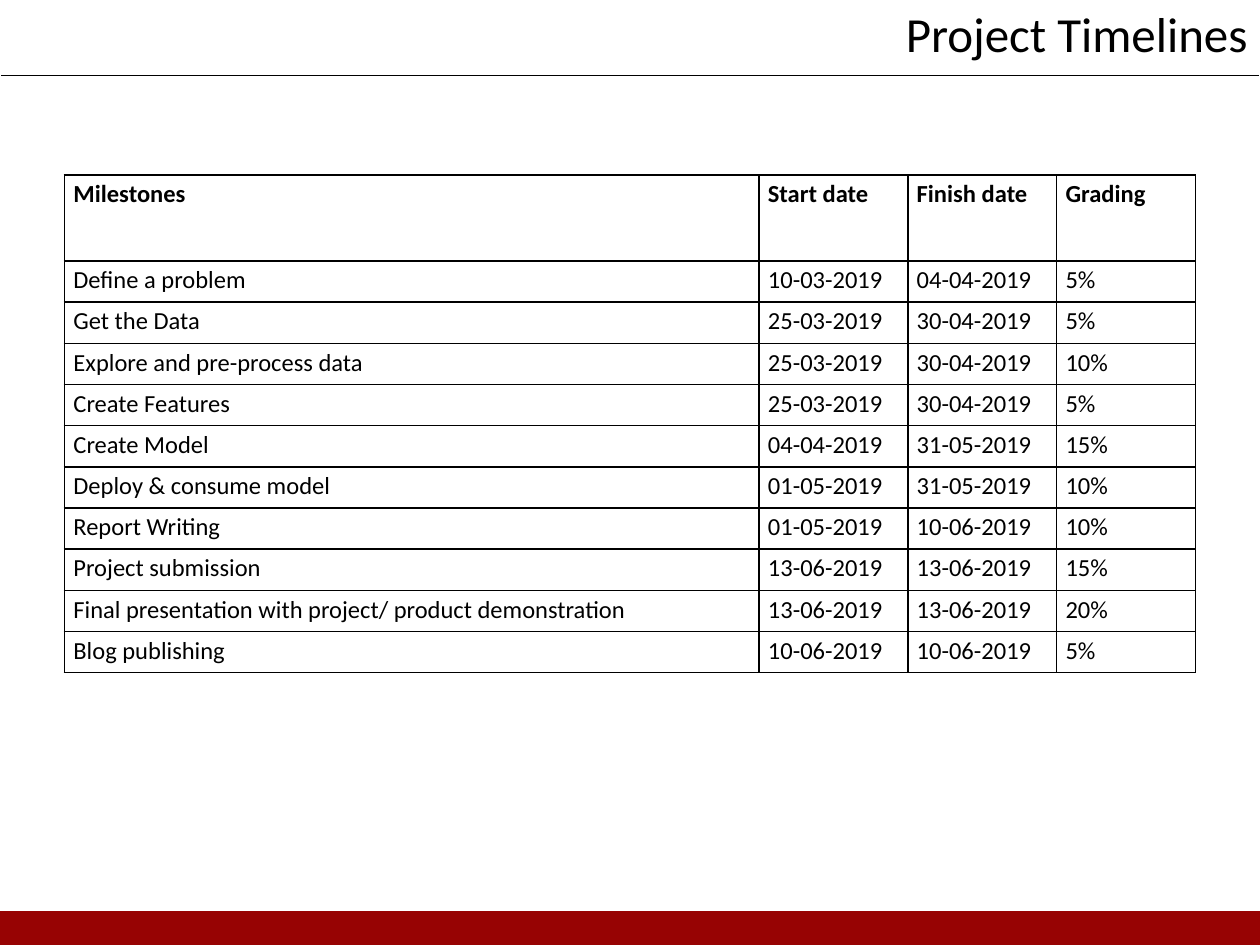
from lxml import etree
from pptx import Presentation
from pptx.dml.color import RGBColor
from pptx.enum.shapes import MSO_SHAPE
from pptx.enum.text import PP_ALIGN
from pptx.oxml.ns import qn
from pptx.util import Cm, Pt

RECTANGLE = MSO_SHAPE.RECTANGLE
LEFT, RIGHT = PP_ALIGN.LEFT, PP_ALIGN.RIGHT

TITLE = "Project Timelines"
HEADINGS = ("Milestones", "Start date", "Finish date", "Grading")
MILESTONES = [
    ("Define a problem", "10-03-2019", "04-04-2019", "5%"),
    ("Get the Data", "25-03-2019", "30-04-2019", "5%"),
    ("Explore and pre-process data", "25-03-2019", "30-04-2019", "10%"),
    ("Create Features", "25-03-2019", "30-04-2019", "5%"),
    ("Create Model", "04-04-2019", "31-05-2019", "15%"),
    ("Deploy & consume model", "01-05-2019", "31-05-2019", "10%"),
    ("Report Writing", "01-05-2019", "10-06-2019", "10%"),
    ("Project submission", "13-06-2019", "13-06-2019", "15%"),
    ("Final presentation with project/ product demonstration", "13-06-2019", "13-06-2019", "20%"),
    ("Blog publishing", "10-06-2019", "10-06-2019", "5%"),
]

COLORS = {"ink": "000000", "paper": "FFFFFF", "footer": "970303"}
FONT = "Calibri"
SLIDE_WIDTH, SLIDE_HEIGHT = 25.4, 19.05
FOOTER_HEIGHT = 0.64
TITLE_HEIGHT = 1.52
TIMELINE_LEFT, TIMELINE_TOP = 1.3, 3.53
COLUMN_WIDTHS = (14.0, 3.0, 3.0, 2.8)
ROW_HEIGHTS = [1.73] + [0.83] * len(MILESTONES)


def add_plain_table(slide, left, top, widths, heights):
    frame = slide.shapes.add_table(
        len(heights), len(widths), Cm(left), Cm(top), Cm(sum(widths)), Cm(sum(heights))
    )
    table = frame.table
    table.first_row = table.horz_banding = False
    for column, width in zip(table.columns, widths):
        column.width = Cm(width)
    for row, height in zip(table.rows, heights):
        row.height = Cm(height)
    return table


def set_borders(cell, colors):
    properties = cell._tc.get_or_add_tcPr()
    for side, color in zip("LRTB", colors):
        border = etree.SubElement(properties, qn(f"a:ln{side}"), w=str(Pt(1)))
        fill = etree.SubElement(border, qn("a:solidFill"))
        etree.SubElement(fill, qn("a:srgbClr"), val=COLORS[color])


def write_cell(cell, text, size, bold=False, align=LEFT):
    cell.text_frame.text = text
    paragraph = cell.text_frame.paragraphs[0]
    paragraph.alignment = align
    font = paragraph.runs[0].font
    font.name, font.size, font.bold = FONT, Pt(size), bold
    font.color.rgb = RGBColor.from_string(COLORS["ink"])
    return paragraph


def add_footer(slide):
    footer = slide.shapes.add_shape(
        RECTANGLE, 0, Cm(SLIDE_HEIGHT - FOOTER_HEIGHT), Cm(SLIDE_WIDTH), Cm(FOOTER_HEIGHT)
    )
    footer.shadow.inherit = False
    footer.fill.solid()
    footer.fill.fore_color.rgb = RGBColor.from_string(COLORS["footer"])
    footer.line.color.rgb = RGBColor.from_string(COLORS["footer"])
    footer.line.width = Pt(2)


def add_title(slide):
    cell = add_plain_table(slide, 0, 0, [SLIDE_WIDTH], [TITLE_HEIGHT]).cell(0, 0)
    write_cell(cell, TITLE, 28, align=RIGHT)
    set_borders(cell, ("paper", "paper", "paper", "ink"))
    cell.fill.solid()
    cell.fill.fore_color.rgb = RGBColor.from_string(COLORS["paper"])


def add_timeline(slide):
    timeline = add_plain_table(slide, TIMELINE_LEFT, TIMELINE_TOP, COLUMN_WIDTHS, ROW_HEIGHTS)
    for row, entries in enumerate([HEADINGS] + MILESTONES):
        for column, entry in enumerate(entries):
            cell = timeline.cell(row, column)
            cell.margin_left = cell.margin_right = Cm(0.18)
            cell.margin_top = cell.margin_bottom = 0
            write_cell(cell, entry, 14, bold=row == 0).line_spacing = 1.15
            set_borders(cell, ["ink"] * 4)
            cell.fill.background()


def main():
    presentation = Presentation()
    presentation.slide_width = Cm(SLIDE_WIDTH)
    presentation.slide_height = Cm(SLIDE_HEIGHT)
    slide = presentation.slides.add_slide(presentation.slide_layouts.get_by_name("Blank"))
    add_footer(slide)
    add_title(slide)
    add_timeline(slide)
    presentation.save("out.pptx")


if __name__ == "__main__":
    main()
